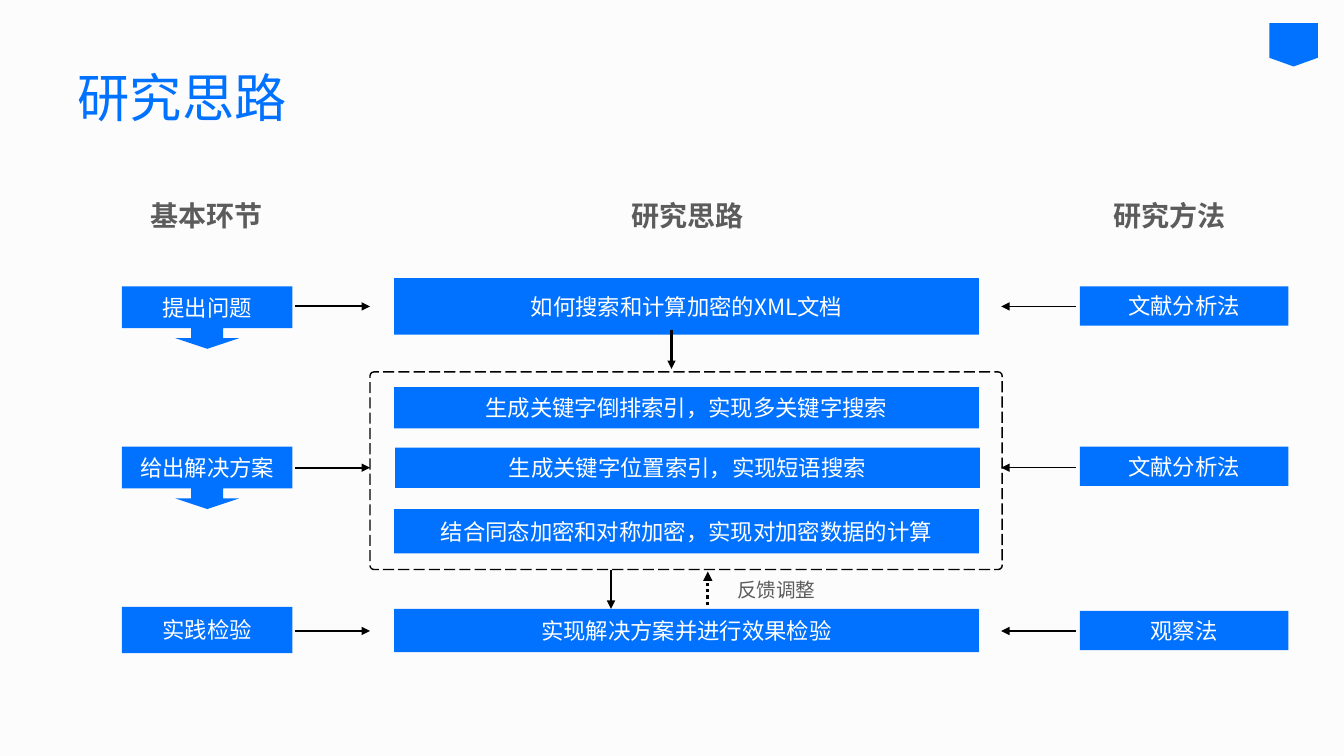
"""Build the research approach slide."""
from lxml import etree
from pptx import Presentation
from pptx.dml.color import RGBColor
from pptx.enum.dml import MSO_LINE
from pptx.enum.shapes import MSO_CONNECTOR, MSO_SHAPE
from pptx.enum.text import MSO_ANCHOR, MSO_AUTO_SIZE, PP_ALIGN
from pptx.oxml.ns import qn
from pptx.util import Inches, Pt

RECT = MSO_SHAPE.RECTANGLE
CALLOUT = MSO_SHAPE.DOWN_ARROW_CALLOUT
ROUNDED = MSO_SHAPE.ROUNDED_RECTANGLE
BADGE = MSO_SHAPE.FLOWCHART_OFFPAGE_CONNECTOR
STRAIGHT = MSO_CONNECTOR.STRAIGHT
LEFT, CENTER, MIDDLE = PP_ALIGN.LEFT, PP_ALIGN.CENTER, MSO_ANCHOR.MIDDLE
NO_FIT = MSO_AUTO_SIZE.NONE
LONG_DASH, DOTS = MSO_LINE.LONG_DASH, MSO_LINE.ROUND_DOT
BLUE, GRAY, WHITE, BLACK, PAPER = "0072FF", "5C5C5C", "FFFFFF", "000000", "FCFCFC"
CJK = "Noto Sans CJK SC"


def rgb(value):
    return RGBColor.from_string(value)


class Deck:
    def __init__(self, prs):
        self.s = prs.slides.add_slide(prs.slide_layouts[5])
        fill = self.s.background.fill
        fill.solid()
        fill.fore_color.rgb = rgb(PAPER)

    def set_text(self, sp, text, size, color, bold=False, align=CENTER, font=CJK):
        tf = sp.text_frame
        tf.text = text
        tf.word_wrap = True
        tf.auto_size = NO_FIT
        tf.vertical_anchor = MIDDLE
        p = tf.paragraphs[0]
        p.alignment = align
        p.font.size = Pt(size)
        p.font.bold = bold
        p.font.color.rgb = rgb(color)
        p.font.name = font
        props = p._p.pPr.find(qn("a:defRPr"))
        etree.SubElement(props, qn("a:ea")).set("typeface", CJK)
        return p

    def title(self, text, x, y, w, h):
        sp = self.s.shapes.title
        sp.left, sp.top, sp.width, sp.height = map(Inches, (x, y, w, h))
        p = self.set_text(sp, text, 37.3, BLUE, align=LEFT, font="Arial")
        p.line_spacing = 1.1

    def label(self, text, x, y, w, h, size, bold=False):
        sp = self.s.shapes.add_textbox(*map(Inches, (x, y, w, h)))
        self.set_text(sp, text, size, GRAY, bold)

    def shape(self, kind, x, y, w, h, text="", adjustments=()):
        sp = self.s.shapes.add_shape(kind, *map(Inches, (x, y, w, h)))
        sp.shadow.inherit = False
        sp.fill.solid()
        sp.fill.fore_color.rgb = rgb(BLUE)
        sp.line.fill.background()
        for i, value in enumerate(adjustments):
            sp.adjustments[i] = value
        if text:
            self.set_text(sp, text, 16, WHITE)
        return sp

    def frame(self, x, y, w, h):
        sp = self.shape(ROUNDED, x, y, w, h, adjustments=[0.02])
        sp.fill.background()
        self.stroke(sp.line, 1, LONG_DASH)

    def stroke(self, line, width, dash=None):
        line.color.rgb = rgb(BLACK)
        line.width = Pt(width)
        if dash:
            line.dash_style = dash

    def arrow(self, x1, y1, x2, y2, width=1.5, dash=None):
        c = self.s.shapes.add_connector(STRAIGHT, *map(Inches, (x1, y1, x2, y2)))
        self.stroke(c.line, width, dash)
        ln = c._element.spPr.find(qn("a:ln"))
        etree.SubElement(ln, qn("a:tailEnd")).set("type", "triangle")
        etree.SubElement(c._element.spPr, qn("a:effectLst"))


prs = Presentation()
prs.slide_width, prs.slide_height = Inches(13.33), Inches(7.5)
deck = Deck(prs)

deck.title("研究思路", 0.67, 0.52, 12, 0.82)
deck.shape(BADGE, 12.59, 0.23, 0.48, 0.43)
for heading, x in (("基本环节", 1.06), ("研究思路", 5.83), ("研究方法", 10.61)):
    deck.label(heading, x, 1.93, 1.98, 0.42, 20, True)

stages = (
    (CALLOUT, "提出问题", 2.84, 0.62, "文献分析法", 2.84, 3.04),
    (CALLOUT, "给出解决方案", 4.43, 0.62, "文献分析法", 4.43, 4.64),
    (RECT, "实践检验", 6.02, 0.46, "观察法", 6.06, 6.26),
)
for kind, stage, top, height, method, method_top, arrow_y in stages:
    adjustments = (0.51, 0.51, 0.17, 0.67) if kind == CALLOUT else ()
    deck.shape(kind, 1.21, top, 1.69, height, stage, adjustments)
    deck.shape(RECT, 10.71, method_top, 2.07, 0.39, method)
    deck.arrow(2.93, arrow_y, 3.67, arrow_y)
    deck.arrow(10.67, arrow_y, 9.93, arrow_y, 1)

steps = (
    ("如何搜索和计算加密的XML文档", 3.91, 2.76, 0.56),
    ("生成关键字倒排索引，实现多关键字搜索", 3.91, 3.84, 0.41),
    ("生成关键字位置索引，实现短语搜索", 3.92, 4.44, 0.4),
    ("结合同态加密和对称加密，实现对加密数据的计算", 3.91, 5.05, 0.44),
    ("实现解决方案并进行效果检验", 3.91, 6.04, 0.43),
)
for step, left, top, height in steps:
    deck.shape(RECT, left, top, 5.8, height, step)

deck.frame(3.67, 3.69, 6.27, 1.96)
deck.arrow(6.66, 3.27, 6.66, 3.66)
deck.arrow(6.06, 5.65, 6.06, 6.04)
deck.arrow(7.02, 6, 7.02, 5.67, 2.25, DOTS)
deck.label("反馈调整", 6.71, 5.66, 1.98, 0.38, 14)

prs.save("out.pptx")
